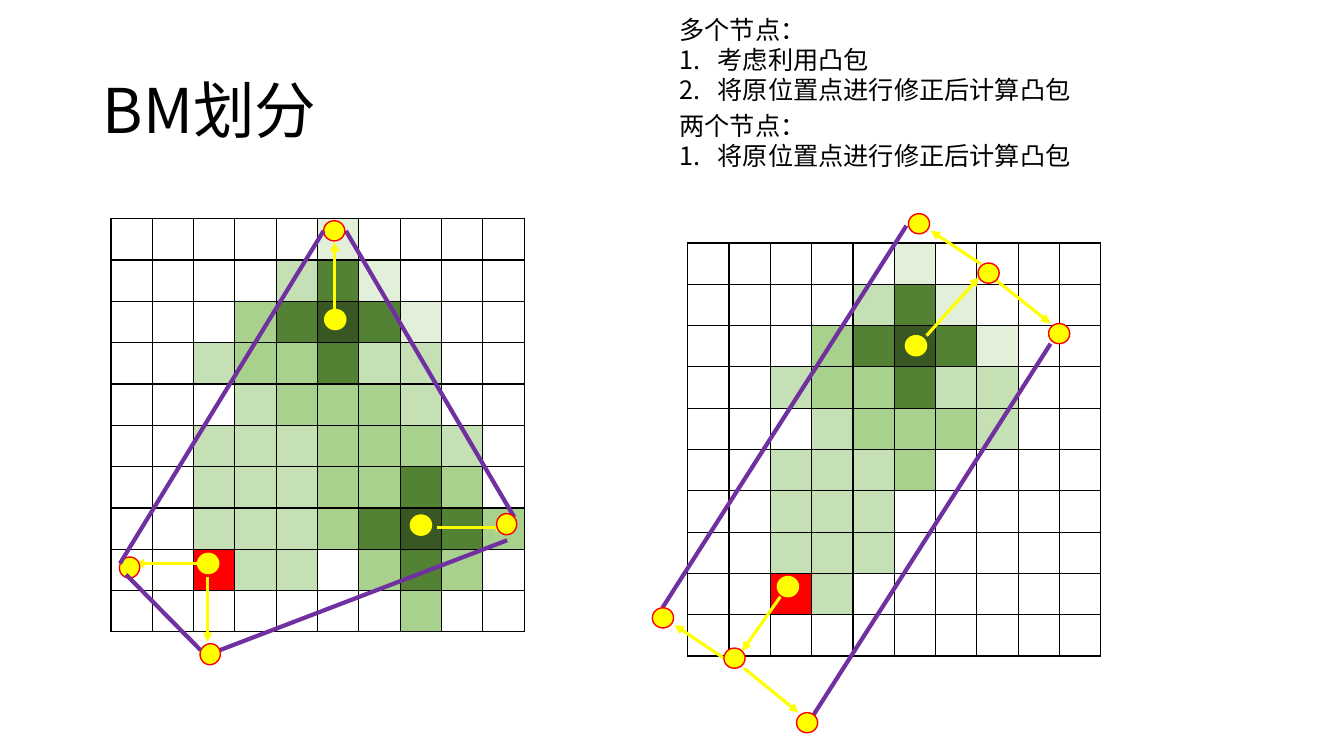
from lxml import etree
from pptx import Presentation
from pptx.dml.color import RGBColor
from pptx.enum import shapes, text
from pptx.oxml import ns
from pptx.util import Inches, Pt

FONT = "Noto Sans CJK SC"
BLACK = RGBColor(0x00, 0x00, 0x00)
YELLOW = RGBColor(0xFF, 0xFF, 0x00)
RED = RGBColor(0xFF, 0x00, 0x00)
PURPLE = RGBColor(0x70, 0x30, 0xA0)
SHADES = {
    "1": RGBColor(0xE2, 0xF0, 0xD9),
    "2": RGBColor(0xC5, 0xE0, 0xB4),
    "3": RGBColor(0xA9, 0xD1, 0x8E),
    "4": RGBColor(0x54, 0x82, 0x35),
    "5": RGBColor(0x38, 0x57, 0x23),
    "R": RED,
}
CELL = 0.41
DOT_W, DOT_H = 0.21, 0.2

SHARED_TOP = [".....1....", "....241...", "...34541..", "..233422..", "...23332.."]
LEFT_ROWS = SHARED_TOP + ["..2223332.", "..2223343.", "..22234543", "..R22.343.", ".......3.."]
RIGHT_ROWS = SHARED_TOP + ["..2223....", "..222.....", "..222.....", "..R2......", ".........."]

LEFT_EDGES_BELOW = [(3.43, 2.29, 5.1, 5.13), (2.05, 6.5, 5.03, 5.36)]
LEFT_EDGES_ABOVE = [(1.19, 5.59, 3.21, 2.29), (1.25, 5.7, 1.99, 6.45)]
LEFT_ARROWS = [(3.32, 3.07, 3.32, 2.4), (4.33, 5.23, 5.01, 5.23),
               (2.06, 5.72, 2.06, 6.37), (1.95, 5.59, 1.34, 5.59)]
LEFT_NODES = [(4.07, 5.11), (3.22, 3.07), (1.96, 5.49)]
LEFT_MOVED = [(3.21, 2.19), (4.92, 5.1, 90), (1.98, 6.39, 112.6), (1.18, 5.53, 112.6)]

RIGHT_EDGES = [(6.57, 6.03, 8.99, 2.24), (8, 7.2, 10.42, 3.41)]
RIGHT_ARROWS = [(9.19, 3.33, 9.71, 2.75), (7.74, 5.92, 7.36, 6.46),
                (9.88, 2.78, 10.42, 3.21), (9.73, 2.62, 9.23, 2.29),
                (7.18, 6.53, 6.69, 6.2), (7.38, 6.63, 7.92, 7.07)]
RIGHT_NODES = [(8.98, 3.33), (7.71, 5.72)]
RIGHT_MOVED = [(9.7, 2.61), (7.18, 6.43), (10.4, 3.21), (9.01, 2.12), (6.47, 6.03), (7.9, 7.07)]


def sub(parent, tag, **attrs):
    """Append a DrawingML child element and return it."""
    return etree.SubElement(parent, ns.qn(tag), **attrs)


def set_fonts(props):
    """Name the slide font for Latin and East Asian text."""
    for tag in ("a:latin", "a:ea"):
        sub(props, tag, typeface=FONT)


def add_text(s, box, lines, size):
    """Add a text box with its lines in the slide font."""
    tf = s.shapes.add_textbox(*map(Inches, box)).text_frame
    tf.word_wrap = True
    tf.text = "\n".join(lines)
    for p in tf.paragraphs:
        for r in p.runs:
            r.font.size = Pt(size)
            r.font.color.rgb = BLACK
            set_fonts(r.font._element)
    return tf


def add_notes_list(s, box, heading, items):
    """Add a heading followed by a numbered list."""
    tf = add_text(s, box, [heading] + items, 18)
    tf.auto_size = text.MSO_AUTO_SIZE.SHAPE_TO_FIT_TEXT
    for p in tf.paragraphs[1:]:
        pPr = p._p.get_or_add_pPr()
        pPr.set("marL", str(Inches(0.38)))
        pPr.set("indent", str(-Inches(0.38)))
        sub(pPr, "a:buAutoNum", type="arabicPeriod")


def style_cell(cell, shade, size):
    """Fill and outline a grid cell, with the given empty text size."""
    tcPr = cell._tc.get_or_add_tcPr()
    for side in "LRTB":
        ln = sub(tcPr, f"a:ln{side}", w=str(Pt(1)))
        sub(sub(ln, "a:solidFill"), "a:srgbClr", val=str(BLACK))
    if shade in SHADES:
        cell.fill.solid()
        cell.fill.fore_color.rgb = SHADES[shade]
    else:
        cell.fill.background()
    end = sub(cell.text_frame.paragraphs[0]._p, "a:endParaRPr", sz=str(size * 100))
    set_fonts(end)


def add_grid(s, left, top, rows, size):
    """Add a density grid from rows of shade letters."""
    n, m = len(rows), len(rows[0])
    table = s.shapes.add_table(n, m, Inches(left), Inches(top),
                               Inches(m * CELL), Inches(n * CELL)).table
    table.first_row = table.horz_banding = False
    for i, row in enumerate(rows):
        table.rows[i].height = Inches(CELL)
        for j, shade in enumerate(row):
            table.columns[j].width = Inches(CELL)
            style_cell(table.cell(i, j), shade, size)


def add_lines(s, ends, color, width, arrow=False):
    """Add straight lines, optionally with arrowheads."""
    for points in ends:
        c = s.shapes.add_connector(shapes.MSO_CONNECTOR.STRAIGHT, *map(Inches, points))
        c.line.color.rgb = color
        c.line.width = Pt(width)
        if arrow:
            sub(c.line._get_or_add_ln(), "a:tailEnd", type="triangle")
        sub(c._element.spPr, "a:effectLst")


def add_dots(s, places, outline):
    """Add yellow node dots with the given outline."""
    for x, y, *turn in places:
        sp = s.shapes.add_shape(shapes.MSO_SHAPE.OVAL, Inches(x), Inches(y),
                                Inches(DOT_W), Inches(DOT_H))
        sp.shadow.inherit = False
        sp.rotation = turn[0] if turn else 0
        sp.fill.solid()
        sp.fill.fore_color.rgb = YELLOW
        sp.line.color.rgb = outline
        sp.line.width = Pt(1)


def add_moves(s, arrows, nodes, moved):
    """Add nodes, their corrected places and the arrows between them."""
    add_lines(s, arrows, YELLOW, 2.25, arrow=True)
    add_dots(s, nodes, YELLOW)
    add_dots(s, moved, RED)


def main():
    """Build the slide and save it."""
    prs = Presentation()
    prs.slide_width, prs.slide_height = Inches(13.33), Inches(7.5)
    s = prs.slides.add_slide(prs.slide_layouts[6])

    title = add_text(s, (0.92, 0.4, 11.5, 1.45), ["BM划分"], 44)
    title.vertical_anchor = text.MSO_ANCHOR.MIDDLE
    title.paragraphs[0].line_spacing = 0.9
    fix = "将原位置点进行修正后计算凸包"
    add_notes_list(s, (6.64, 0.09, 5.32, 1.01), "多个节点：", ["考虑利用凸包", fix])
    add_notes_list(s, (6.64, 1.04, 5.32, 0.71), "两个节点：", [fix])

    add_grid(s, 1.1, 2.17, LEFT_ROWS, 18)
    add_lines(s, LEFT_EDGES_BELOW, PURPLE, 3)
    add_moves(s, LEFT_ARROWS, LEFT_NODES, LEFT_MOVED)
    add_lines(s, LEFT_EDGES_ABOVE, PURPLE, 3)

    add_grid(s, 6.82, 2.41, RIGHT_ROWS, 12)
    add_lines(s, RIGHT_EDGES, PURPLE, 3)
    add_moves(s, RIGHT_ARROWS, RIGHT_NODES, RIGHT_MOVED)

    prs.save("out.pptx")


main()
